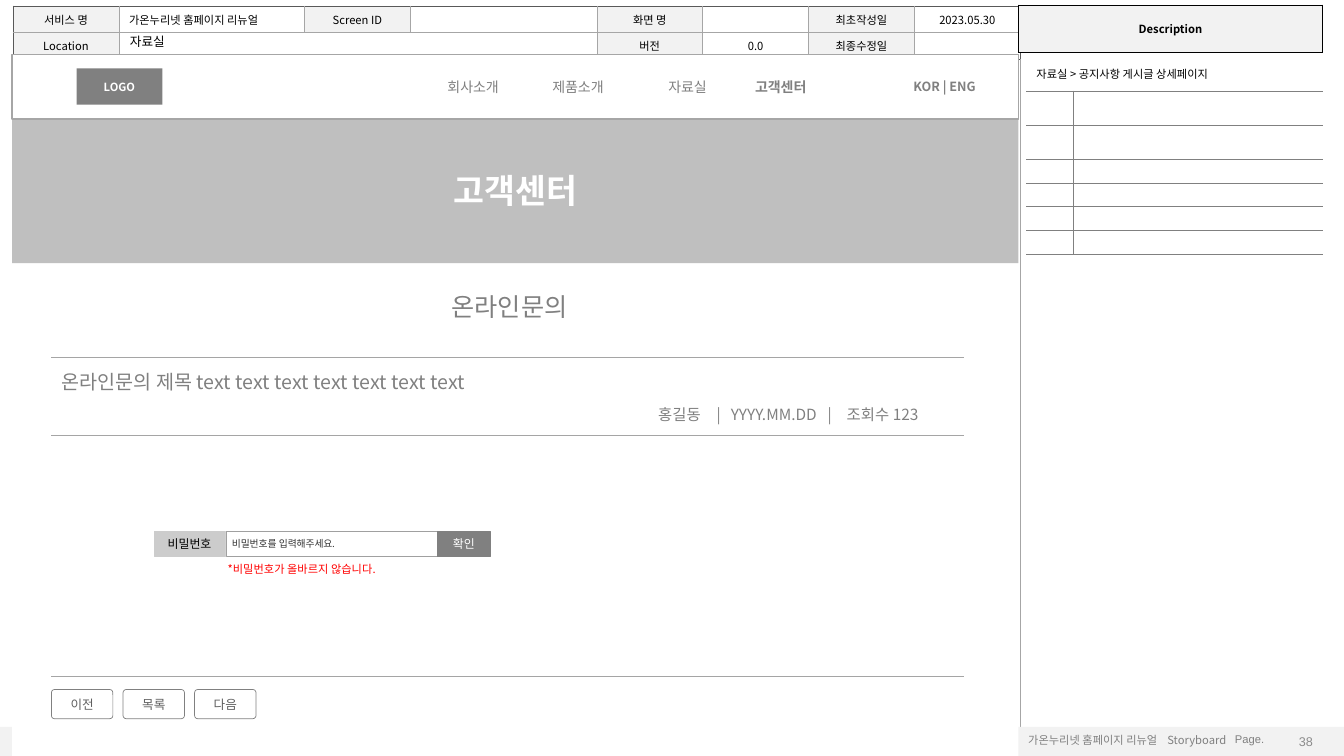
from lxml import etree
from pptx import Presentation
from pptx.dml.color import RGBColor
from pptx.enum.shapes import MSO_CONNECTOR, MSO_SHAPE
from pptx.enum.text import MSO_ANCHOR, MSO_AUTO_SIZE, PP_ALIGN
from pptx.oxml.ns import qn
from pptx.util import Inches, Pt

RECTANGLE, ROUNDED = MSO_SHAPE.RECTANGLE, MSO_SHAPE.ROUNDED_RECTANGLE
STRAIGHT = MSO_CONNECTOR.STRAIGHT
TOP, MIDDLE = MSO_ANCHOR.TOP, MSO_ANCHOR.MIDDLE
LEFT, CENTER, RIGHT = PP_ALIGN.LEFT, PP_ALIGN.CENTER, PP_ALIGN.RIGHT
GROW, FIXED = MSO_AUTO_SIZE.SHAPE_TO_FIT_TEXT, MSO_AUTO_SIZE.NONE

COLORS = {
    "black": "000000", "white": "FFFFFF", "red": "FF0000", "panel": "F2F2F2",
    "banner": "BFBFBF", "label": "CCCCCC", "grid": "A6A6A6", "edge": "595959",
    "rule": "A5A5A5", "field": "A0A0A0", "gray": "808080", "number": "8C8C8C",
    "button": "5F5F5F", "hint": "333333",
}
SANS, LATO, ARIAL = "Noto Sans CJK KR", "Lato", "Arial"
SERVICE = "가온누리넷 홈페이지 리뉴얼"


def color(name):
    return RGBColor.from_string(COLORS[name])


def write(frame, text, size=8, font=SANS, ink="black", bold=False, align=LEFT, tabs=()):
    paragraph = frame.paragraphs[0]
    paragraph.alignment = align
    if tabs:
        tab_list = etree.SubElement(paragraph._p.get_or_add_pPr(), qn("a:tabLst"))
        for position in tabs:
            etree.SubElement(tab_list, qn("a:tab"), pos=str(Inches(position)), algn="l")
    run = paragraph.add_run()
    run.text = text
    run.font.size, run.font.name, run.font.bold = Pt(size), font, bold
    run.font.color.rgb = color(ink)
    etree.SubElement(run.font._element, qn("a:ea"), typeface=font)


class Storyboard:
    def __init__(self, presentation):
        self.slide = presentation.slides.add_slide(presentation.slide_layouts[5])
        self.shapes = self.slide.shapes

    def frame(self, shape, anchor, wrap, auto_size, inset=(0.1, 0.05)):
        frame = shape.text_frame
        frame.word_wrap, frame.auto_size, frame.vertical_anchor = wrap, auto_size, anchor
        frame.margin_left = frame.margin_right = Inches(inset[0])
        frame.margin_top = frame.margin_bottom = Inches(inset[1])
        return frame

    def box(self, place, fill, text=None, line=None, width=0.25, kind=RECTANGLE,
            wrap=True, inset=(0.1, 0.05), **style):
        shape = self.shapes.add_shape(kind, *map(Inches, place))
        shape.shadow.inherit = False
        shape.fill.solid()
        shape.fill.fore_color.rgb = color(fill)
        if line:
            shape.line.color.rgb = color(line)
            shape.line.width = Pt(width)
        else:
            shape.line.fill.background()
        if kind == ROUNDED:
            shape.adjustments[0] = 0.11
        if text:
            style.setdefault("align", CENTER)
            write(self.frame(shape, MIDDLE, wrap, FIXED, inset), text, **style)

    def label(self, place, text, wrap=False, anchor=TOP, auto_size=GROW, **style):
        shape = self.shapes.add_textbox(*map(Inches, place))
        write(self.frame(shape, anchor, wrap, auto_size), text, **style)

    def title(self, place, fill, text, **style):
        shape = self.slide.shapes.title
        shape.left, shape.top, shape.width, shape.height = map(Inches, place)
        shape.fill.solid()
        shape.fill.fore_color.rgb = color(fill)
        write(self.frame(shape, MIDDLE, True, FIXED), text, align=CENTER, **style)
        self.slide.shapes.element.append(shape.element)

    def rule(self, left, right, top):
        line = self.shapes.add_connector(STRAIGHT, *map(Inches, (left, top, right, top)))
        line.line.color.rgb = color("rule")
        line.line.width = Pt(0.5)
        etree.SubElement(line.element.spPr, qn("a:effectLst"))

    def table(self, left, top, columns, rows):
        shape = self.shapes.add_table(len(rows), len(columns), *map(
            Inches, (left, top, sum(columns), sum(rows))))
        table = shape.table
        table.first_row = table.horz_banding = False
        for column, width in zip(table.columns, columns):
            column.width = Inches(width)
        for row, height in zip(table.rows, rows):
            row.height = Inches(height)
        return table

    def cell(self, cell, borders, text="", fill=None, width=0.5, inset=0.1, **style):
        properties = cell._tc.get_or_add_tcPr()
        for side in "LRTB":
            line = etree.SubElement(properties, qn("a:ln" + side), w=str(Pt(width)))
            if side in borders:
                solid = etree.SubElement(line, qn("a:solidFill"))
                etree.SubElement(solid, qn("a:srgbClr"), val=COLORS[borders[side]])
            else:
                etree.SubElement(line, qn("a:noFill"))
        if fill:
            cell.fill.solid()
            cell.fill.fore_color.rgb = color(fill)
        else:
            cell.fill.background()
        cell.vertical_anchor = MIDDLE
        cell.margin_left = cell.margin_right = Inches(inset)
        if text:
            write(cell.text_frame, text, **style)
        else:
            paragraph = cell.text_frame.paragraphs[0]
            etree.SubElement(paragraph._p, qn("a:endParaRPr"), sz="600")


def main():
    presentation = Presentation()
    presentation.slide_width, presentation.slide_height = Inches(13.33), Inches(7.5)
    board = Storyboard(presentation)

    # Page information table
    information = [
        ["서비스 명", SERVICE, "Screen ID", "", "화면 명", "", "최초작성일", "2023.05.30"],
        ["Location", "", "", "", "버전", "0.0", "최종수정일", ""],
        [""] * 8,
    ]
    table = board.table(0.13, 0.06, [1.05, 1.84, 1.05, 1.85] + [1.05] * 4,
                        [0.24, 0.24, 6.67])
    for row, texts in enumerate(information):
        for column, text in enumerate(texts):
            heading = column % 2 == 0 and text
            borders = {
                "L": "grid" if column else "edge",
                "R": "edge" if column == 7 else "grid",
                "T": "grid" if row == 1 else "edge",
                "B": "edge" if row else "grid",
            }
            board.cell(table.cell(row, column), borders, text,
                       "panel" if heading else "white",
                       align=LEFT if text == SERVICE else CENTER)
    table.cell(1, 1).merge(table.cell(1, 3))
    table.cell(2, 0).merge(table.cell(2, 7))

    # Footer and description heading
    board.box((0, 7.21, 13.33, 0.29), "panel")
    board.label((12.15, 7.22, 0.59, 0.24), "Page.", wrap=True, font=ARIAL, ink="gray")
    table = board.table(10.1, 0.05, [3.02], [0.47])
    board.cell(table.cell(0, 0), dict.fromkeys("LRTB", "black"), "Description", "panel",
               inset=0.08, bold=True, align=CENTER)
    board.label((10.1, 7.23, 2.27, 0.24), SERVICE + "\tStoryboard", wrap=True,
                ink="gray", tabs=[1.38])
    board.label((12.53, 7.22, 0.59, 0.27), "38", wrap=True, anchor=MIDDLE,
                auto_size=FIXED, size=9, font=ARIAL, ink="number", align=RIGHT)

    # Page body and banner
    board.box((0.12, 2.61, 9.98, 4.89), "white")
    board.title((0.12, 1.17, 9.98, 1.44), "banner", "고객센터",
                size=24, ink="white", bold=True)

    # Site navigation
    board.shapes = board.slide.shapes.add_group_shape().shapes
    board.box((0.12, 0.54, 9.98, 0.64), "white", line="grid", width=1)
    board.box((0.76, 0.68, 0.85, 0.36), "gray", "LOGO", ink="white", bold=True)
    for left, width, text, size, bold in [
        (4.34, 0.76, "회사소개", 10, False), (5.38, 0.76, "제품소개", 10, False),
        (6.53, 0.62, "자료실", 10, False), (7.39, 0.76, "고객센터", 10, True),
        (8.96, 0.85, "KOR | ENG", 9, True),
    ]:
        board.label((left, 0.73, width, 0.27), text, size=size, ink="gray", bold=bold)
    board.shapes = board.slide.shapes
    board.label((1.19, 0.29, 0.58, 0.25), "자료실", size=9)

    # Description table
    rows = [0.35, 0.34, 0.34] + [0.235] * 4
    table = board.table(10.18, 0.55, [0.46, 2.48], rows)
    for row in range(len(rows)):
        for column, sides in enumerate(("TRB", "LTB")):
            first = row == 0
            board.cell(table.cell(row, column),
                       dict.fromkeys("B" if first else sides, "gray"),
                       "자료실 > 공지사항 게시글 상세페이지" if first and column == 0 else "",
                       "white" if first else None, width=0.25)
    table.cell(0, 0).merge(table.cell(0, 1))

    # Inquiry heading
    for top in (3.55, 4.32, 6.71):
        board.rule(0.51, 9.56, top)
    board.label((4.38, 2.84, 1.46, 0.4), "온라인문의", size=18, ink="gray")
    board.label((0.51, 3.62, 4.44, 0.34),
                "온라인문의 제목 text text text text text text text", size=14, ink="gray")
    board.label((6.43, 3.97, 3.14, 0.29), "홍길동\t|\tYYYY.MM.DD\t|\t조회수 123", wrap=True,
                size=11, ink="gray", tabs=[0.58, 0.72, 1.68, 1.87])

    # Password form
    board.box((1.53, 5.27, 0.7, 0.25), "label", "비밀번호", line="label", wrap=False,
              size=8.5, font=LATO)
    board.box((2.24, 5.27, 2.11, 0.25), "white", "비밀번호를 입력해주세요.", line="field",
              inset=(0.06, 0), size=7, font=LATO, ink="hint", align=LEFT)
    board.box((4.34, 5.27, 0.52, 0.25), "gray", "확인", line="gray", wrap=False,
              size=8.5, font=LATO, ink="white")
    board.label((2.16, 5.53, 1.81, 0.24), "*비밀번호가 올바르지 않습니다.", ink="red")

    # List buttons
    for index, text in enumerate(("이전", "목록", "다음")):
        board.box((0.51 + 0.71 * index, 6.84, 0.61, 0.29), "white", text, line="gray",
                  width=0.5, kind=ROUNDED, wrap=False, inset=(0.1, 0.06),
                  size=9, font=LATO, ink="button")

    presentation.save("out.pptx")


if __name__ == "__main__":
    main()
